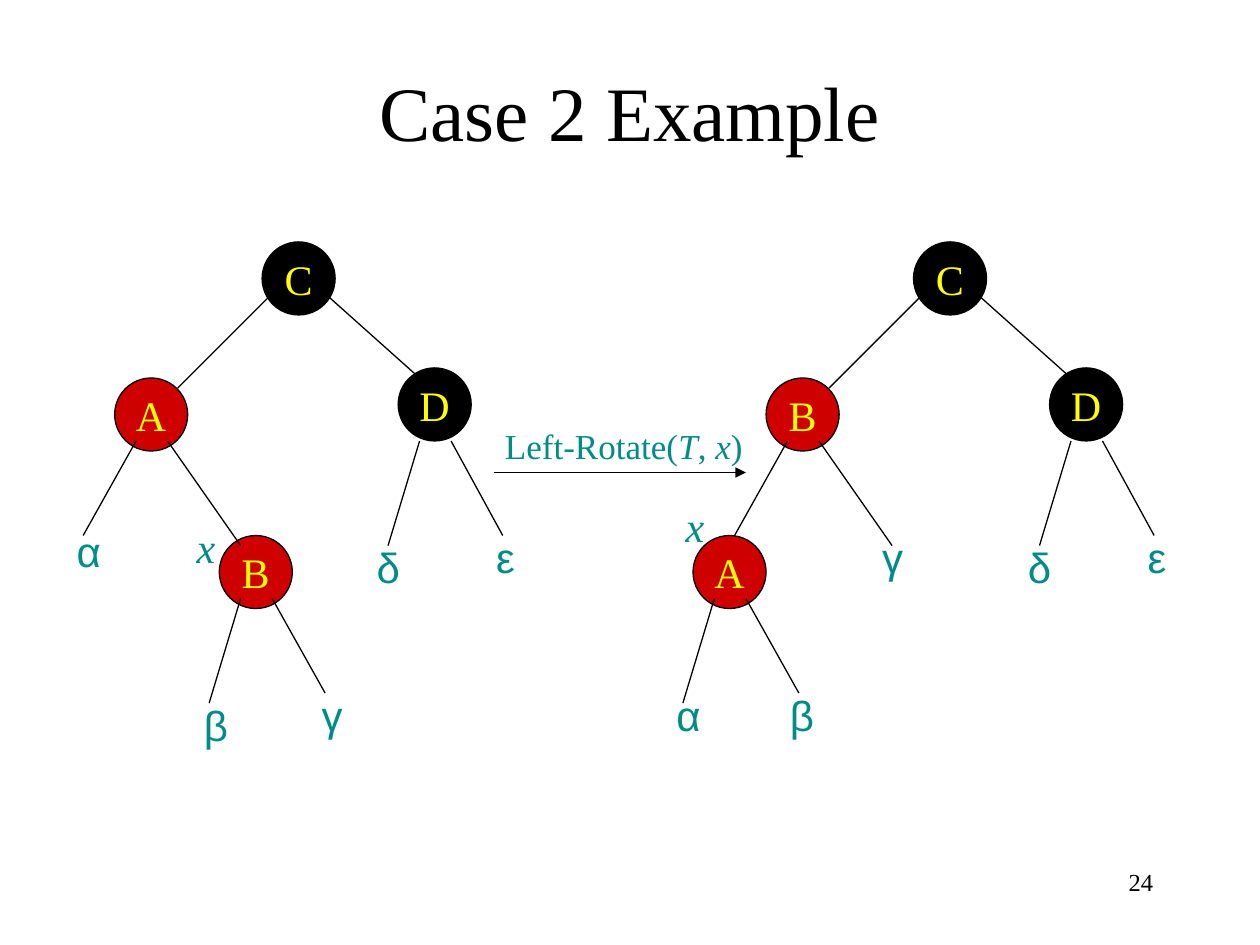
import pptx
import pptx.dml.color
import pptx.enum.shapes
import pptx.enum.text
import pptx.oxml
import pptx.oxml.ns
import pptx.util
from pptx.util import Inches

SERIF, SANS = "Times New Roman", "Arial"
BLACK, RED, YELLOW, TEAL = "000000", "CE0000", "FFFF00", "008C87"
NODE_SIZE = 0.58
LABEL_WIDTHS = {"α": 0.41, "β": 0.38, "γ": 0.39, "δ": 0.36, "ε": 0.34, "x": 0.35}
ALIGN = pptx.enum.text.PP_ALIGN
ANCHOR = pptx.enum.text.MSO_ANCHOR
AUTO_SIZE = pptx.enum.text.MSO_AUTO_SIZE

# Parts that both trees share, placed for the left tree
UPPER_EDGES = [
    (2.16, 2.33, 1.41, 3.08), (2.58, 2.33, 3.33, 3),
    (1.08, 3.5, 0.66, 4.25), (1.33, 3.5, 1.91, 4.33),
    (3.58, 3.5, 3.99, 4.25), (3.33, 3.5, 3.08, 4.33),
]
# Measured from the corner of the lowest node
LOWER_EDGES = [(0.42, 0.5, 0.84, 1.25), (0.17, 0.5, -0.08, 1.33)]


def color(value):
    return pptx.dml.color.RGBColor.from_string(value)


def format_runs(paragraph, size, font, hex_color):
    for run in paragraph.runs:
        run.font.size = pptx.util.Pt(size)
        run.font.name = font
        run.font.color.rgb = color(hex_color)


def add_text(slide, text, box, size, font, hex_color, align=ALIGN.CENTER,
             anchor=ANCHOR.TOP, wrap=False):
    """Add a text box; one that does not wrap grows with its text."""
    shape = slide.shapes.add_textbox(*map(Inches, box))
    frame = shape.text_frame
    frame.word_wrap = wrap
    frame.auto_size = AUTO_SIZE.NONE if wrap else AUTO_SIZE.SHAPE_TO_FIT_TEXT
    frame.vertical_anchor = anchor
    frame.text = text
    paragraph = frame.paragraphs[0]
    paragraph.alignment = align
    format_runs(paragraph, size, font, hex_color)
    return paragraph


def add_label(slide, text, left, top):
    font = SERIF if text == "x" else SANS
    paragraph = add_text(slide, text, (left, top, LABEL_WIDTHS[text], 0.5), 24, font, TEAL)
    paragraph.runs[0].font.italic = text == "x"


def add_node(slide, letter, left, top, fill):
    box = map(Inches, (left, top, NODE_SIZE, NODE_SIZE))
    node = slide.shapes.add_shape(pptx.enum.shapes.MSO_SHAPE.OVAL, *box)
    node.shadow.inherit = False
    node.fill.solid()
    node.fill.fore_color.rgb = color(fill)
    node.line.color.rgb = color(BLACK)
    node.line.width = pptx.util.Pt(0.75)
    frame = node.text_frame
    frame.word_wrap = False
    frame.vertical_anchor = ANCHOR.MIDDLE
    frame.text = letter
    frame.paragraphs[0].alignment = ALIGN.CENTER
    format_runs(frame.paragraphs[0], 24, SERIF, YELLOW)


def add_line(slide, x1, y1, x2, y2, arrow=False):
    connector = slide.shapes.add_connector(
        pptx.enum.shapes.MSO_CONNECTOR.STRAIGHT, *map(Inches, (x1, y1, x2, y2)))
    connector.line.color.rgb = color(BLACK)
    connector.line.width = pptx.util.Pt(0.75)
    namespace = pptx.oxml.ns.nsdecls("a")
    properties = connector.element.spPr
    if arrow:
        properties.get_or_add_ln().append(
            pptx.oxml.parse_xml(f'<a:tailEnd {namespace} type="triangle"/>'))
    properties.append(pptx.oxml.parse_xml(f"<a:effectLst {namespace}/>"))


def add_tree(slide, offset, child, grandchild, grandchild_left, labels):
    """Draw one tree, its upper part moved right by offset."""
    grandchild_top = 4.25
    add_node(slide, child, 0.91 + offset, 3, RED)
    add_node(slide, "C", 2.08 + offset, 1.92, BLACK)
    add_node(slide, grandchild, grandchild_left, grandchild_top, RED)
    add_node(slide, "D", 3.16 + offset, 2.92, BLACK)
    for x1, y1, x2, y2 in UPPER_EDGES:
        add_line(slide, x1 + offset, y1, x2 + offset, y2)
    for x1, y1, x2, y2 in LOWER_EDGES:
        add_line(slide, x1 + grandchild_left, y1 + grandchild_top,
                 x2 + grandchild_left, y2 + grandchild_top)
    for text, left, top in labels:
        add_label(slide, text, left, top)
    add_label(slide, "δ", 2.89 + offset, 4.25)
    add_label(slide, "ε", 3.84 + offset, 4.17)


def add_rotation(slide):
    """Draw the arrow between the trees with the call above it."""
    paragraph = add_text(slide, "", (3.91, 3.32, 2.1, 0.44), 20, SERIF, TEAL, ALIGN.LEFT)
    for text in ("Left-Rotate(", "T", ", ", "x", ")"):
        run = paragraph.add_run()
        run.text = text
        run.font.italic = text in ("T", "x")
    format_runs(paragraph, 20, SERIF, TEAL)
    add_line(slide, 3.92, 3.75, 5.92, 3.75, arrow=True)


def main():
    presentation = pptx.Presentation()
    presentation.slide_width = Inches(10)
    presentation.slide_height = Inches(7.5)
    slide = presentation.slides.add_slide(presentation.slide_layouts[6])

    add_text(slide, "Case 2 Example", (0.75, 0.25, 8.5, 1.25), 44, SERIF, BLACK,
             anchor=ANCHOR.MIDDLE, wrap=True)
    add_tree(slide, 0, "A", "B", 1.74, [
        ("α", 0.5, 4.12), ("β", 1.52, 5.5), ("x", 1.46, 4.09), ("γ", 2.44, 5.42)])
    add_tree(slide, 5.17, "B", "A", 5.5, [
        ("α", 5.26, 5.42), ("β", 6.17, 5.42), ("x", 5.34, 3.92), ("γ", 6.89, 4.17)])
    add_rotation(slide)
    add_text(slide, "24", (7.17, 6.83, 2.08, 0.5), 14, SERIF, BLACK, ALIGN.RIGHT, wrap=True)

    presentation.save("out.pptx")


if __name__ == "__main__":
    main()
